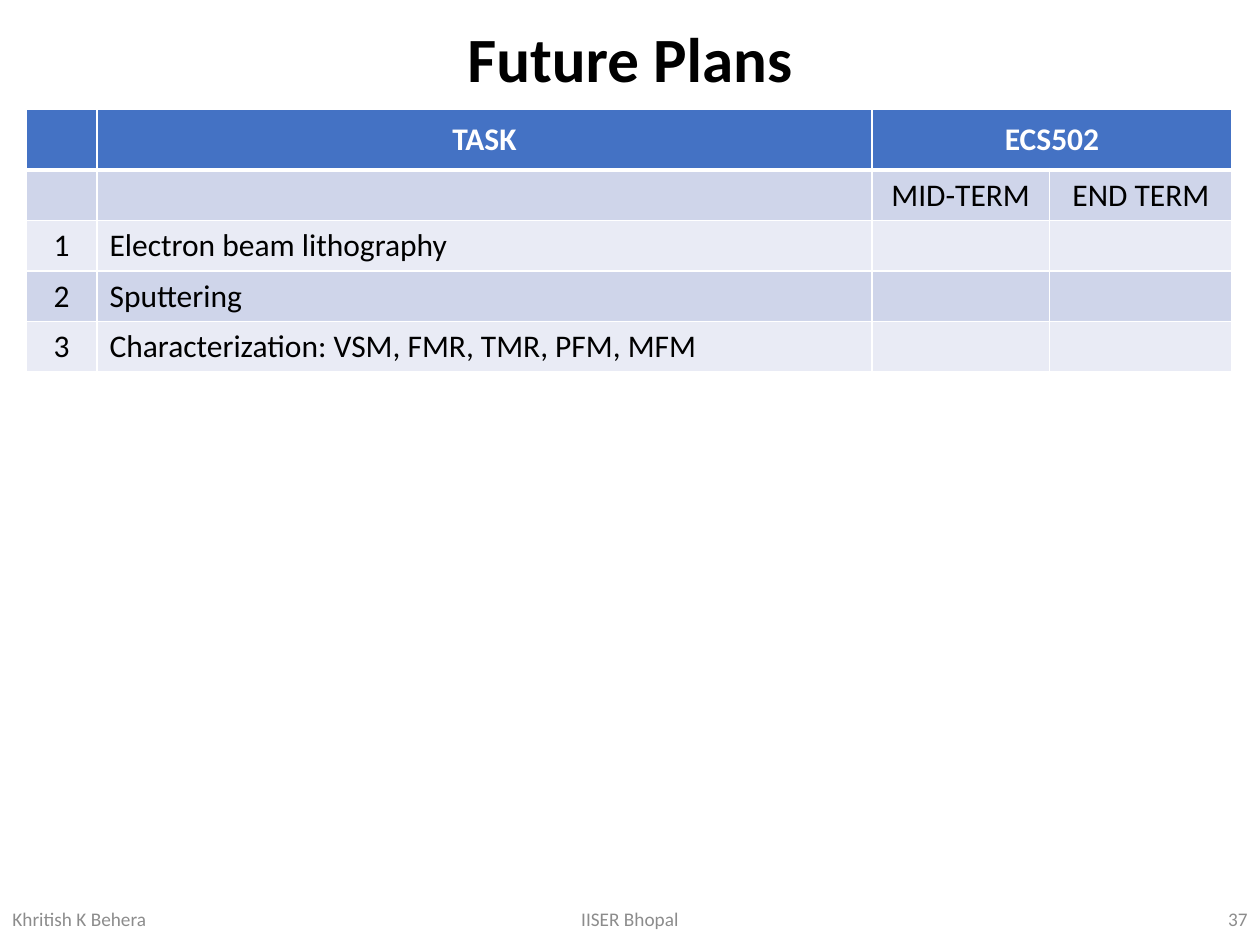
import dataclasses

import lxml.etree
import pptx
import pptx.dml.color
import pptx.enum.text
import pptx.oxml.ns
import pptx.util
from pptx.util import Inches

ALIGN = pptx.enum.text.PP_ALIGN


@dataclasses.dataclass(frozen=True)
class Theme:
    font: str = "Calibri"
    title_size: int = 36
    table_size: int = 18
    footer_size: int = 11
    black: str = "000000"
    white: str = "FFFFFF"
    grey: str = "8C8C8C"
    header_fill: str = "4472C4"
    band_fills: tuple = ("CFD5EA", "E9EBF5")
    thin_border: int = 1
    thick_border: int = 3


THEME = Theme()

COLUMN_WIDTHS = (0.56, 6.15, 1.41, 1.45)
HEADER_HEIGHT, BODY_HEIGHT = 0.48, 0.4
COLUMN_ALIGNMENTS = (ALIGN.CENTER, ALIGN.LEFT, ALIGN.CENTER, ALIGN.CENTER)
PLAN_ROWS = (
    ("", "TASK", "ECS502", ""),
    ("", "", "MID-TERM", "END TERM"),
    ("1", "Electron beam lithography", "", ""),
    ("2", "Sputtering", "", ""),
    ("3", "Characterization: VSM, FMR, TMR, PFM, MFM", "", ""),
)


def rgb(color):
    return pptx.dml.color.RGBColor.from_string(color)


def write_text(text_frame, text, *, size, color, bold=False, align=ALIGN.LEFT, line_spacing=None):
    paragraph = text_frame.paragraphs[0]
    paragraph.alignment = align
    paragraph.line_spacing = line_spacing
    font = paragraph.font
    if text:
        run = paragraph.add_run()
        run.text = text
        font = run.font
    font.name = THEME.font
    font.size = pptx.util.Pt(size)
    font.bold = bold
    font.color.rgb = rgb(color)


def add_label(slide, box, text, **text_format):
    """Add a vertically centred text box; box is left, top, width, height in inches."""
    text_frame = slide.shapes.add_textbox(*map(Inches, box)).text_frame
    text_frame.word_wrap = True
    text_frame.vertical_anchor = pptx.enum.text.MSO_ANCHOR.MIDDLE
    write_text(text_frame, text, **text_format)


def set_cell_borders(cell, top, bottom):
    """Draw white borders; top and bottom are widths in points."""
    properties = cell._tc.get_or_add_tcPr()
    qn = pptx.oxml.ns.qn
    widths = {"lnL": THEME.thin_border, "lnR": THEME.thin_border, "lnT": top, "lnB": bottom}
    for position, (side, width) in enumerate(widths.items()):
        line = lxml.etree.Element(qn(f"a:{side}"), w=str(pptx.util.Pt(width)))
        fill = lxml.etree.SubElement(line, qn("a:solidFill"))
        lxml.etree.SubElement(fill, qn("a:srgbClr"), val=THEME.white)
        properties.insert(position, line)


def add_title(slide, box):
    add_label(slide, box, "Future Plans", size=THEME.title_size, color=THEME.black,
              bold=True, align=ALIGN.CENTER, line_spacing=0.9)


def add_plan_table(slide, left, top):
    heights = [HEADER_HEIGHT] + [BODY_HEIGHT] * (len(PLAN_ROWS) - 1)
    table = slide.shapes.add_table(
        len(PLAN_ROWS), len(COLUMN_WIDTHS), Inches(left), Inches(top),
        Inches(sum(COLUMN_WIDTHS)), Inches(sum(heights))).table
    for column, width in zip(table.columns, COLUMN_WIDTHS):
        column.width = Inches(width)

    for row_index, (texts, height) in enumerate(zip(PLAN_ROWS, heights)):
        table.rows[row_index].height = Inches(height)
        is_header = row_index == 0
        fill = THEME.header_fill if is_header else THEME.band_fills[(row_index - 1) % 2]
        for column_index, text in enumerate(texts):
            cell = table.cell(row_index, column_index)
            cell.fill.solid()
            cell.fill.fore_color.rgb = rgb(fill)
            cell.vertical_anchor = pptx.enum.text.MSO_ANCHOR.MIDDLE
            set_cell_borders(
                cell,
                top=THEME.thick_border if row_index == 1 else THEME.thin_border,
                bottom=THEME.thick_border if is_header else THEME.thin_border)
            write_text(cell.text_frame, text, size=THEME.table_size, bold=is_header,
                       color=THEME.white if is_header else THEME.black,
                       align=ALIGN.CENTER if is_header else COLUMN_ALIGNMENTS[column_index])
    table.cell(0, 2).merge(table.cell(0, 3))


def add_footer(slide, box):
    left, top, width, height = box
    parts = (
        ("Khritish K Behera", 2.25, 0, ALIGN.LEFT),
        ("IISER Bhopal", 3.38, 0.5, ALIGN.CENTER),
        ("37", 2.25, 1, ALIGN.RIGHT),
    )
    for text, part_width, position, align in parts:
        part_left = left + (width - part_width) * position
        add_label(slide, (part_left, top, part_width, height), text,
                  size=THEME.footer_size, color=THEME.grey, align=align)


def main():
    presentation = pptx.Presentation()
    presentation.slide_width = Inches(10)
    presentation.slide_height = Inches(7.5)
    slide = presentation.slides.add_slide(presentation.slide_layouts[6])
    add_title(slide, (0, 0.01, 10, 0.96))
    add_footer(slide, (0, 7.09, 10, 0.4))
    add_plan_table(slide, 0.21, 0.87)
    presentation.save("out.pptx")


if __name__ == "__main__":
    main()
